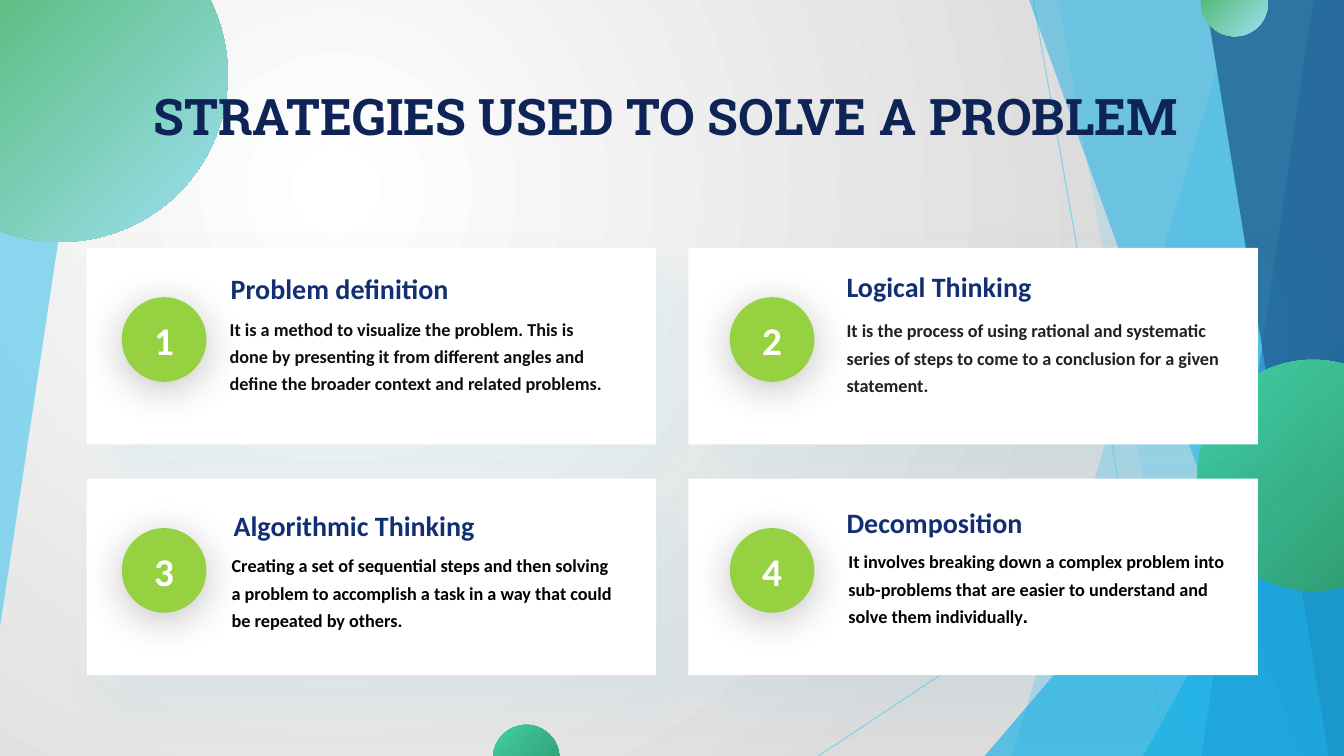
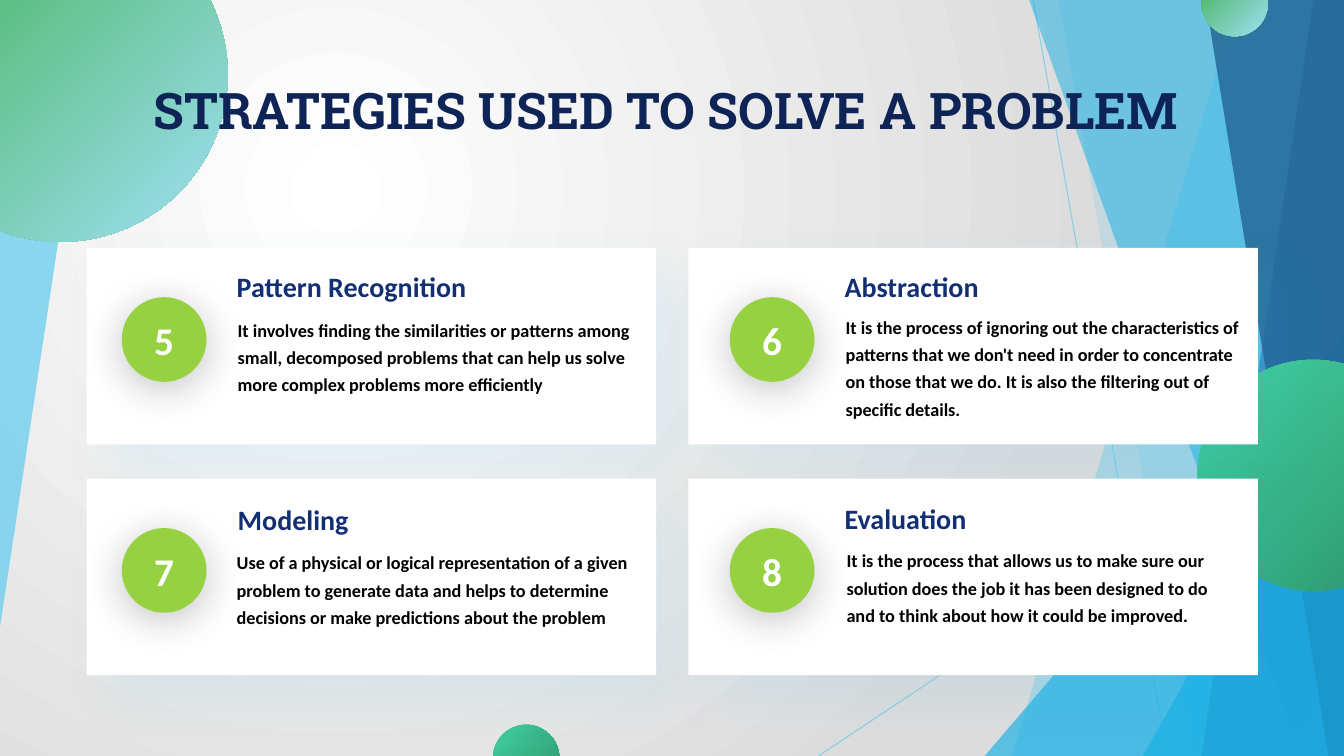
from dataclasses import dataclass

from lxml import etree
from pptx import Presentation
from pptx.dml.color import RGBColor
from pptx.enum.shapes import MSO_CONNECTOR, MSO_SHAPE
from pptx.enum.text import MSO_ANCHOR, PP_ALIGN
from pptx.oxml.ns import qn
from pptx.util import Pt

STRAIGHT = MSO_CONNECTOR.STRAIGHT
OVAL = MSO_SHAPE.OVAL
RECTANGLE = MSO_SHAPE.RECTANGLE
TRIANGLE = MSO_SHAPE.ISOSCELES_TRIANGLE
CENTER = PP_ALIGN.CENTER
LEFT = PP_ALIGN.LEFT
MIDDLE = MSO_ANCHOR.MIDDLE

WHITE = RGBColor(0xFF, 0xFF, 0xFF)
BLACK = RGBColor(0x00, 0x00, 0x00)
SILVER = RGBColor(0xDC, 0xDC, 0xDC)
SOFT_BLACK = RGBColor(0x0D, 0x0D, 0x0D)
CHARCOAL = RGBColor(0x20, 0x21, 0x24)
TITLE_NAVY = RGBColor(0x0E, 0x23, 0x56)
HEADING_NAVY = RGBColor(0x12, 0x2F, 0x73)
SKY = RGBColor(0x5F, 0xCB, 0xEF)
CYAN = RGBColor(0x17, 0xB0, 0xE4)
BLUE = RGBColor(0x2E, 0x83, 0xC3)
DEEP_BLUE = RGBColor(0x22, 0x62, 0x92)
LIME = RGBColor(0x96, 0xD1, 0x41)
LEAF_TO_ICE = (RGBColor(0x42, 0xB0, 0x51), RGBColor(0x9F, 0xE0, 0xF5))
MINT_TO_PINE = (RGBColor(0x42, 0xD0, 0xA2), RGBColor(0x2E, 0x94, 0x6B))

TITLE_FONT = "Roboto Slab"
TEXT_FONT = "Calibri"
FULL_STOP_FONT = "Arial"

WIDTH, HEIGHT = 960, 540
CARD_LEFT, CARD_TOP = 61.9, 177
CARD_WIDTH, CARD_HEIGHT = 406.8, 140.4
COLUMN_STEP, ROW_STEP = 429.8, 164.9
BADGE_LEFTS = (87, 521.3)
BADGE_DROP, BADGE_SIZE = 35.3, 60.5
HEADING_WIDTH, HEADING_HEIGHT, BODY_HEIGHT = 220, 25.5, 85

CARD_SHADOW = (CYAN, 8, 36, 23, 45)
BADGE_SHADOW = (BLACK, 24, 30, 5, 90)

TITLE = "STRATEGIES USED TO SOLVE A PROBLEM"


@dataclass
class Strategy:
    heading: str
    heading_at: tuple
    body: str
    body_at: tuple
    body_width: float = 290
    color: RGBColor = BLACK
    ending: str = ""


FIRST_FOUR = [
    Strategy("Problem definition", (157.7, 196.6),
             "It is a method to visualize the problem. This is done by presenting it from "
             "different angles and define the broader context and related problems.",
             (157, 219.6), 284.4, SOFT_BLACK),
    Strategy("Logical Thinking", (597.6, 195.1),
             "It is the process of using rational and systematic series of steps to come "
             "to a conclusion for a given statement.",
             (597.6, 221), color=CHARCOAL),
    Strategy("Algorithmic Thinking", (159.8, 365.8),
             "Creating a set of sequential steps and then solving a problem to accomplish "
             "a task in a way that could be repeated by others.",
             (158.4, 388.8)),
    Strategy("Decomposition", (597.6, 363.6),
             "It involves breaking down a complex problem into sub-problems that are "
             "easier to understand and solve them individually",
             (599, 385.9), ending="."),
]
LAST_FOUR = [
    Strategy("Pattern Recognition", (162, 195.1),
             "It involves finding the similarities or patterns among small, decomposed "
             "problems that can help us solve more complex problems more efficiently",
             (162.7, 220.3), 305),
    Strategy("Abstraction", (596.2, 195.1),
             "It is the process of ignoring out the characteristics of patterns that we "
             "don't need in order to concentrate on those that we do. It is also the "
             "filtering out of specific details.",
             (596.9, 218.2), 298),
    Strategy("Modeling", (162.7, 361.4),
             "Use of a physical or logical representation of a given problem to generate "
             "data and helps to determine decisions or make predictions about the problem",
             (162, 386.6), 306),
    Strategy("Evaluation", (596.2, 360.7),
             "It is the process that allows us to make sure our solution does the job it "
             "has been designed to do and to think about how it could be improved.",
             (597.6, 385.2)),
]


def set_opacity(element, percent):
    color = next(element.iter(qn("a:srgbClr")))
    etree.SubElement(color, qn("a:alpha"), val=str(percent * 1000))


def set_gradient(fill, colors):
    fill.gradient()
    for position, (stop, color) in enumerate(zip(fill.gradient_stops, colors)):
        stop.position = position
        stop.color.rgb = color


def paint(shape, color, opacity=100):
    shape.shadow.inherit = False
    shape.line.fill.background()
    shape.fill.solid()
    shape.fill.fore_color.rgb = color
    if opacity < 100:
        set_opacity(shape.element.spPr, opacity)


def cast_shadow(shape, color, opacity, blur, distance, angle):
    effects = shape.element.spPr.find(qn("a:effectLst"))
    shadow = etree.SubElement(effects, qn("a:outerShdw"), blurRad=str(Pt(blur)),
                              dist=str(Pt(distance)), dir=str(angle * 60000), rotWithShape="0")
    etree.SubElement(shadow, qn("a:srgbClr"), val=str(color))
    set_opacity(shadow, opacity)


def add_preset(slide, preset, left, top, width, height):
    return slide.shapes.add_shape(preset, Pt(left), Pt(top), Pt(width), Pt(height))


def add_polygon(slide, points, color, opacity):
    start, *others = [(Pt(x), Pt(y)) for x, y in points]
    outline = slide.shapes.build_freeform(*start)
    outline.add_line_segments(others, close=True)
    paint(outline.convert_to_shape(), color, opacity)


def add_band(slide, top_x, bottom_x, color, opacity):
    corners = [(top_x, 0), (WIDTH, 0), (WIDTH, HEIGHT), (bottom_x, HEIGHT)]
    add_polygon(slide, corners, color, opacity)


def add_corner_triangle(slide, left, top):
    triangle = add_preset(slide, TRIANGLE, left, top, WIDTH - left, HEIGHT - top)
    triangle.adjustments[0] = 1
    paint(triangle, CYAN, 66)


def add_thin_line(slide, start, end):
    line = slide.shapes.add_connector(STRAIGHT, *map(Pt, start + end))
    line.line.width = Pt(0.75)
    line.line.color.rgb = SKY
    properties = line.element.spPr
    set_opacity(properties, 70)
    etree.SubElement(properties, qn("a:effectLst"))


def add_bubble(slide, left, top, size, colors):
    bubble = add_preset(slide, OVAL, left, top, size, size)
    bubble.shadow.inherit = False
    bubble.line.fill.background()
    set_gradient(bubble.fill, colors)
    bubble.fill.gradient_angle = 315


def write(frame, text, font_name, size, color, spacing=None, align=LEFT):
    frame.word_wrap = True
    paragraph = frame.paragraphs[0]
    paragraph.add_run().text = text
    paragraph.alignment = align
    paragraph.line_spacing = spacing
    font = paragraph.font
    font.name = font_name
    font.size = Pt(size)
    font.bold = True
    font.color.rgb = color
    return paragraph


def add_text(slide, left, top, width, height, *style):
    box = slide.shapes.add_textbox(Pt(left), Pt(top), Pt(width), Pt(height))
    return write(box.text_frame, *style)


def add_badge(slide, left, top, number):
    badge = add_preset(slide, OVAL, left, top, BADGE_SIZE, BADGE_SIZE)
    paint(badge, LIME)
    cast_shadow(badge, *BADGE_SHADOW)
    frame = badge.text_frame
    frame.margin_left = frame.margin_right = frame.margin_top = frame.margin_bottom = 0
    frame.vertical_anchor = MIDDLE
    write(frame, str(number), TEXT_FONT, 28, WHITE, align=CENTER)


def add_card(slide, index, number, strategy):
    row, column = divmod(index, 2)
    top = CARD_TOP + row * ROW_STEP
    card = add_preset(slide, RECTANGLE, CARD_LEFT + column * COLUMN_STEP, top,
                      CARD_WIDTH, CARD_HEIGHT)
    paint(card, WHITE)
    cast_shadow(card, *CARD_SHADOW)
    add_badge(slide, BADGE_LEFTS[column], top + BADGE_DROP, number)
    add_text(slide, *strategy.heading_at, HEADING_WIDTH, HEADING_HEIGHT,
             strategy.heading, TEXT_FONT, 20, HEADING_NAVY, Pt(18))
    body = add_text(slide, *strategy.body_at, strategy.body_width, BODY_HEIGHT,
                    strategy.body, TEXT_FONT, 13, strategy.color, 1.25)
    if strategy.ending:
        ending = body.add_run()
        ending.text = strategy.ending
        ending.font.name = FULL_STOP_FONT


def add_backdrop(slide):
    add_polygon(slide, [(0, 0), (67.7, 0), (0, 448)], SKY, 70)
    add_thin_line(slide, (738, 0), (833.8, HEIGHT))
    add_thin_line(slide, (WIDTH, 290.2), (584.6, HEIGHT))
    add_band(slide, 884.2, 722.9, SKY, 36)
    add_band(slide, 756, 851.8, SKY, 20)
    add_corner_triangle(slide, 703.4, 239.8)
    add_band(slide, 735.1, 929.5, CYAN, 50)
    add_band(slide, 938.2, 858.2, BLUE, 70)
    add_band(slide, 861.1, 949, DEEP_BLUE, 80)
    add_corner_triangle(slide, 816.5, 283)
    add_bubble(slide, 858.2, -21.6, 47.5, LEAF_TO_ICE)
    add_bubble(slide, -76.3, -66.2, 239, LEAF_TO_ICE)
    add_bubble(slide, 855.4, 257, 164.9, MINT_TO_PINE)
    add_bubble(slide, 352.1, 517.7, 47.5, MINT_TO_PINE)


def set_background(master):
    set_gradient(master.background.fill, (WHITE, SILVER))
    gradient = next(master.element.cSld.iter(qn("a:gradFill")))
    gradient.remove(gradient.find(qn("a:lin")))
    circle = etree.Element(qn("a:path"), attrib={"path": "circle"})
    etree.SubElement(circle, qn("a:fillToRect"), l="50000", t="50000", r="100000", b="100000")
    gradient.find(qn("a:gsLst")).addnext(circle)


def add_strategy_slide(deck, title_top, first_number, strategies):
    slide = deck.slides.add_slide(deck.slide_layouts[6])
    add_backdrop(slide)
    add_text(slide, 96.5, title_top, 758.9, 130.3,
             TITLE, TITLE_FONT, 36, TITLE_NAVY, 1.5, CENTER)
    for index, strategy in enumerate(strategies):
        add_card(slide, index, first_number + index, strategy)


def main():
    deck = Presentation()
    deck.slide_width, deck.slide_height = Pt(WIDTH), Pt(HEIGHT)
    set_background(deck.slide_master)
    add_strategy_slide(deck, 35.3, 1, FIRST_FOUR)
    add_strategy_slide(deck, 31.7, 5, LAST_FOUR)
    deck.save("out.pptx")


if __name__ == "__main__":
    main()
